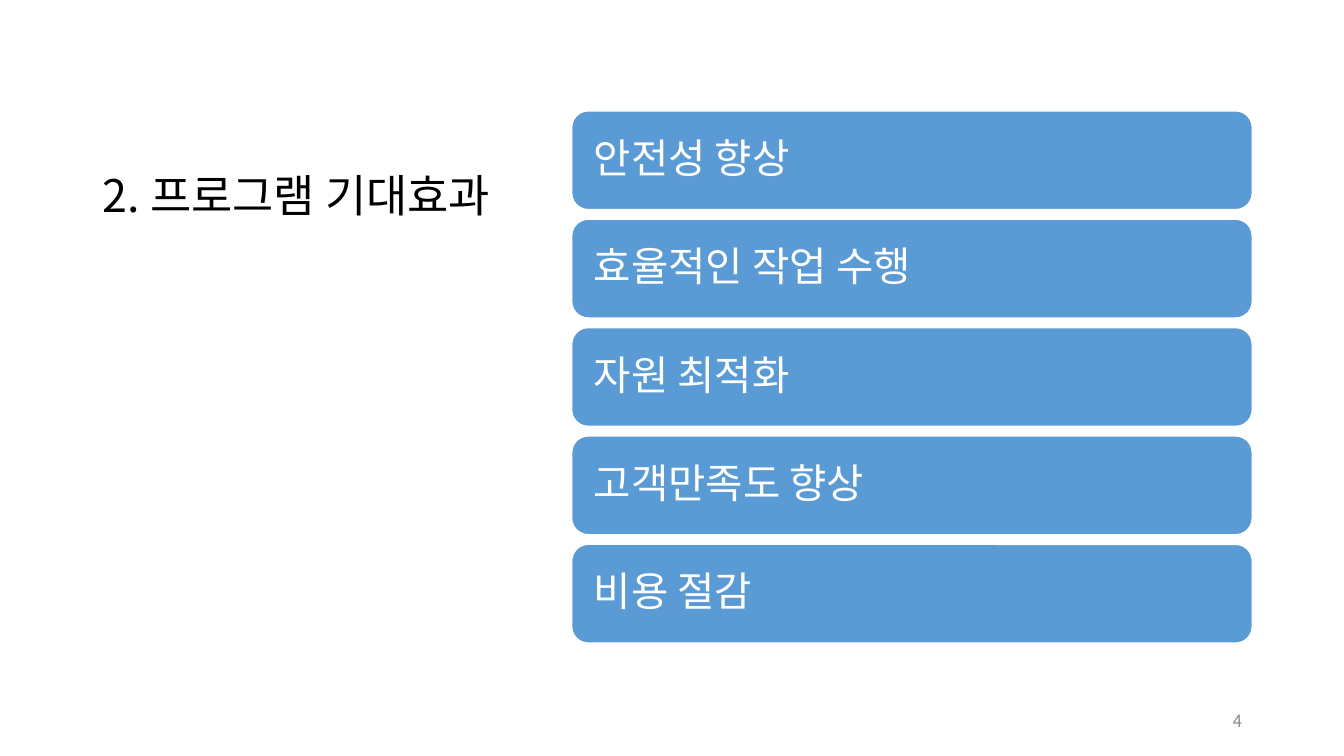
from dataclasses import dataclass

from pptx import Presentation
from pptx.dml.color import RGBColor
from pptx.enum.shapes import MSO_SHAPE
from pptx.enum.text import MSO_ANCHOR, MSO_AUTO_SIZE, PP_ALIGN
from pptx.oxml.ns import qn
from pptx.util import Inches, Pt


@dataclass(frozen=True)
class Theme:
    font: str = "Noto Sans CJK KR"
    title_size: int = 32
    benefit_size: int = 29
    number_size: int = 12
    black: RGBColor = RGBColor(0, 0, 0)
    white: RGBColor = RGBColor(255, 255, 255)
    blue: RGBColor = RGBColor(0x5B, 0x9B, 0xD5)
    gray: RGBColor = RGBColor(0x8C, 0x8C, 0x8C)


THEME = Theme()
BENEFITS = ["안전성 향상", "효율적인 작업 수행", "자원 최적화", "고객만족도 향상", "비용 절감"]


def write_text(sp, text, size, color, align, anchor):
    tf = sp.text_frame
    tf.text = text
    tf.word_wrap = True
    tf.auto_size = MSO_AUTO_SIZE.NONE
    tf.vertical_anchor = anchor
    p = tf.paragraphs[0]
    p.alignment = align
    p.font.size = Pt(size)
    p.font.name = THEME.font
    p.font.color.rgb = color
    east_asian = p.font._element.makeelement(qn("a:ea"), {"typeface": THEME.font})
    p.font._element.find(qn("a:latin")).addnext(east_asian)
    return p


def add_title(s, text):
    sp = s.shapes.title
    sp.left, sp.top, sp.width, sp.height = map(Inches, (0.92, 0.5, 4.3, 1.75))
    p = write_text(sp, text, THEME.title_size, THEME.black, PP_ALIGN.LEFT, MSO_ANCHOR.BOTTOM)
    p.line_spacing = 0.9


def add_benefit(s, text, top):
    sp = s.shapes.add_shape(
        MSO_SHAPE.ROUNDED_RECTANGLE, Inches(5.67), Inches(top), Inches(6.75), Inches(0.98)
    )
    sp.shadow.inherit = False
    sp.fill.solid()
    sp.fill.fore_color.rgb = THEME.blue
    sp.line.color.rgb = THEME.white
    sp.line.width = Pt(1)
    tf = sp.text_frame
    tf.margin_left = tf.margin_right = Inches(0.17)
    p = write_text(sp, text, THEME.benefit_size, THEME.white, PP_ALIGN.LEFT, MSO_ANCHOR.MIDDLE)
    p.line_spacing = 0.9
    p.space_after = Pt(6)


def add_slide_number(s, number):
    sp = s.shapes.add_textbox(Inches(9.42), Inches(6.95), Inches(3), Inches(0.4))
    write_text(sp, number, THEME.number_size, THEME.gray, PP_ALIGN.RIGHT, MSO_ANCHOR.MIDDLE)


def main():
    prs = Presentation()
    prs.slide_width = Inches(13.33)
    prs.slide_height = Inches(7.5)
    s = prs.slides.add_slide(prs.slide_layouts[5])
    add_title(s, "2. 프로그램 기대효과")
    for i, benefit in enumerate(BENEFITS):
        add_benefit(s, benefit, 1.1 + i * 1.075)
    add_slide_number(s, "4")
    prs.save("out.pptx")


if __name__ == "__main__":
    main()
